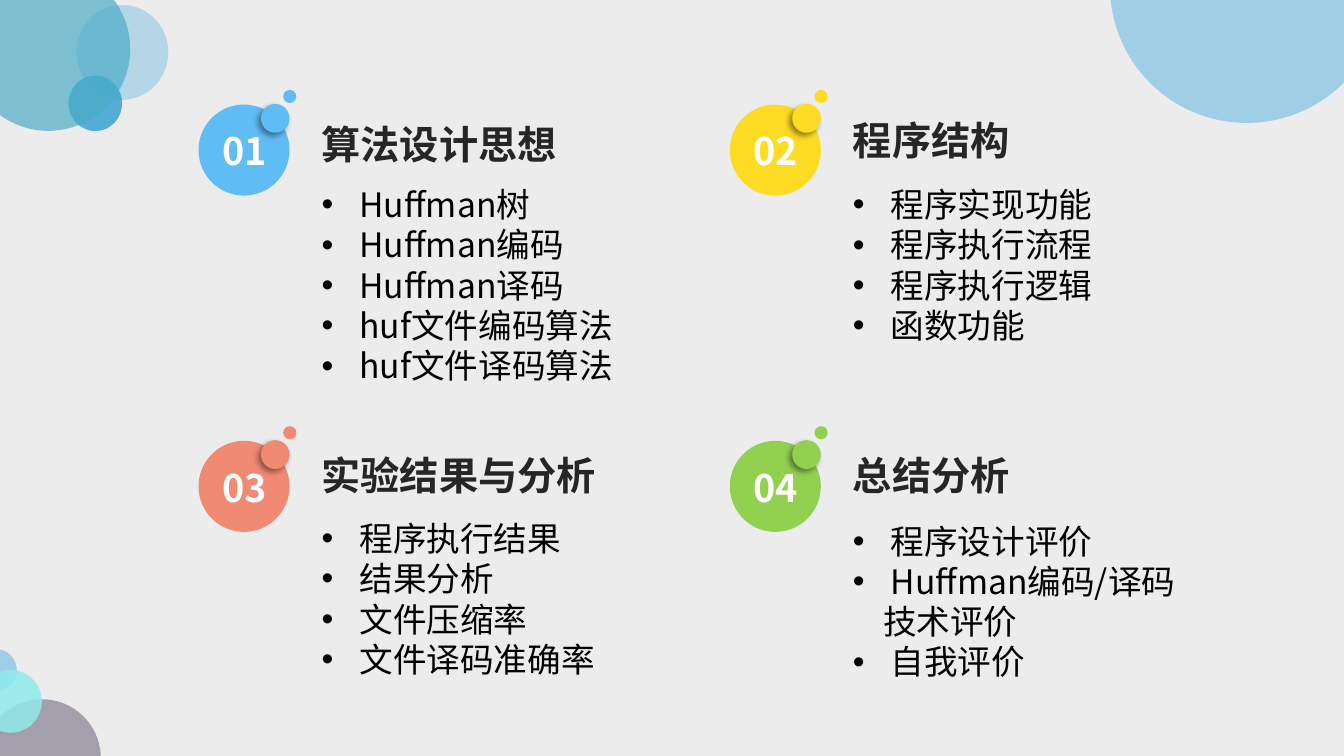
import math
import pptx
import pptx.util
import pptx.dml.color
import pptx.enum.shapes
import pptx.enum.text
import pptx.oxml
import pptx.oxml.ns
from lxml import etree

Pt = pptx.util.Pt
FONT = "Noto Sans CJK SC"
WIDE, HIGH = 960, 540
HUES = {
    "back": "ECECEC", "white": "FFFFFF", "head": "262626", "text": "000000",
    "blue": "5FBCF5", "gold": "FEDC23", "coral": "F08A73", "green": "92D050",
    "sky": "9FCEE6", "sea": "3AA3D0", "teal": "4BACC6", "plum": "3F3151",
    "aqua": "90EAEB",
}
OVAL = pptx.enum.shapes.MSO_SHAPE.OVAL
JUST = pptx.enum.text.PP_ALIGN.JUSTIFY

# Title, hue, title drop, list drop, items; a line break carries on an item
PARTS = [
    ("算法设计思想", "blue", 18, 63.7,
     ["Huffman树", "Huffman编码", "Huffman译码", "huf文件编码算法", "huf文件译码算法"]),
    ("程序结构", "gold", 15, 63.7,
     ["程序实现功能", "程序执行流程", "程序执行逻辑", "函数功能"]),
    ("实验结果与分析", "coral", 14.5, 62,
     ["程序执行结果", "结果分析", "文件压缩率", "文件译码准确率"]),
    ("总结分析", "green", 14.5, 63.8,
     ["程序设计评价", "Huffman编码/译码\n技术评价", "自我评价"]),
]


def tint(name):
    return pptx.dml.color.RGBColor.from_string(HUES[name])


def add(node, tag, **attrs):
    child = etree.SubElement(node, pptx.oxml.ns.qn(tag))
    for key, value in attrs.items():
        child.set(key, str(value))
    return child


def paint(shape, hue, alpha=100):
    shape.shadow.inherit = False
    shape.fill.solid()
    shape.fill.fore_color.rgb = tint(hue)
    shape.line.fill.background()
    if alpha < 100:
        color = shape._element.spPr.find(".//" + pptx.oxml.ns.qn("a:srgbClr"))
        add(color, "a:alpha", val=alpha * 1000)


def disc(shapes, x, y, wide, high, hue, alpha=100):
    shape = shapes.add_shape(OVAL, Pt(x), Pt(y), Pt(wide), Pt(high))
    paint(shape, hue, alpha)
    return shape


def shade(shape):
    effects = shape._element.spPr.find(pptx.oxml.ns.qn("a:effectLst"))
    outer = add(effects, "a:outerShdw", blurRad=Pt(4), dist=Pt(3),
                dir=135 * 60000, algn="tr", rotWithShape=0)
    add(add(outer, "a:srgbClr", val="000000"), "a:alpha", val=40000)


def cut(shapes, x, y, radius, start, end, hue, alpha=100, corner=None):
    """Arc in degrees, clockwise from the right, closed through a corner."""
    stops = [start, *(turn for turn in range(-90, 360, 90) if start < turn < end), end]
    dots = []
    for low, high in zip(stops, stops[1:]):
        a, b = math.radians(low), math.radians(high)
        pull = 4 / 3 * math.tan((b - a) / 4)
        for turn, lean in ((a, 0), (a, pull), (b, -pull), (b, 0)):
            dots.append((x + radius * (math.cos(turn) - lean * math.sin(turn)),
                         y + radius * (math.sin(turn) + lean * math.cos(turn))))
    first = dots[0]
    dots = [dot for index, dot in enumerate(dots) if index % 4]
    spots = [(px * 100, py * 100) for px, py in dots + ([corner] if corner else [])]
    pen = shapes.build_freeform(first[0] * 100, first[1] * 100, scale=Pt(1) / 100)
    pen.add_line_segments(spots, close=True)
    shape = pen.convert_to_shape()
    # Every three arc points make one curve
    lines = list(shape._element.iter(pptx.oxml.ns.qn("a:lnTo")))[:len(dots)]
    for index in range(0, len(lines), 3):
        curve = etree.Element(pptx.oxml.ns.qn("a:cubicBezTo"))
        lines[index].addprevious(curve)
        for line in lines[index:index + 3]:
            curve.append(line[0])
            line.getparent().remove(line)
    paint(shape, hue, alpha)


def write(shapes, box, text, size=24, hue="text", bold=False, align=None, bullet=False):
    frame = shapes.add_textbox(*map(Pt, box)).text_frame
    frame.word_wrap = True
    for item_no, item in enumerate(text):
        for line_no, line in enumerate(item.split("\n")):
            first = item_no == line_no == 0
            para = frame.paragraphs[0] if first else frame.add_paragraph()
            if align is not None:
                para.alignment = align
            if bullet:
                props = para._p.get_or_add_pPr()
                if line_no:
                    props.set("marL", str(Pt(21.5)))
                else:
                    props.set("marL", str(Pt(27)))
                    props.set("indent", str(-Pt(27)))
                    add(props, "a:buFont", typeface="Arial")
                    add(props, "a:buChar", char="•")
            run = para.add_run()
            run.text = line
            run.font.size = Pt(size)
            run.font.bold = bold
            run.font.color.rgb = tint(hue)
            run.font.name = FONT
            add(run.font._element, "a:ea", typeface=FONT)


def panel(slide, x, y, label, part):
    title, hue, drop, gap, items = part
    # Numbered badge with two bubbles
    group = slide.shapes.add_group_shape().shapes
    disc(group, x, y + 10.5, 65, 65, hue)
    shade(disc(group, x + 44.6, y + 10, 20.4, 20.6, hue))
    disc(group, x + 60.5, y, 9.4, 9.4, hue)
    write(group, (x + 10, y + 23.7, 55, 40), [label], size=27, hue="white", bold=True)
    # Title and list
    write(group, (x + 80.9, y + drop, 235, 41), [title], size=28, hue="head",
          bold=True, align=JUST)
    write(slide.shapes, (x + 80.9, y + gap, 317, 124), items, bullet=True)


def corners(slide):
    # Top left
    group = slide.shapes.add_group_shape().shapes
    disc(group, 54.7, 3.6, 65.5, 67.7, "sky", 72)
    disc(group, 49, 54, 38.2, 39.6, "sea", 85)
    cut(group, 34.5, 35, 58.5, -36.7, 126.1, "teal", 69, corner=(0, 0))
    # Top right
    cut(slide.shapes, 890.6, -10, 97.8, 44.8, 174.1, "sky", corner=(WIDE, 0))
    # Bottom left
    group = slide.shapes.add_group_shape().shapes
    cut(group, -3, 478.6, 15, -78.5, 78.5, "sky")
    cut(group, 30, 541.5, 42, 224.4, 358, "plum", 41, corner=(0, HIGH))
    cut(group, 7.5, 501, 22.4, -109.6, 109.6, "aqua", 85)


def main():
    deck = pptx.Presentation()
    deck.slide_width, deck.slide_height = Pt(WIDE), Pt(HIGH)
    slide = deck.slides.add_slide(deck.slide_layouts[6])
    slide.background.fill.solid()
    slide.background.fill.fore_color.rgb = tint("back")
    for index, part in enumerate(PARTS):
        row, col = divmod(index, 2)
        panel(slide, 141.8 + col * 379.5, 64.2 + row * 240.2, f"{index + 1:02}", part)
    corners(slide)
    deck.save("out.pptx")


if __name__ == "__main__":
    main()
